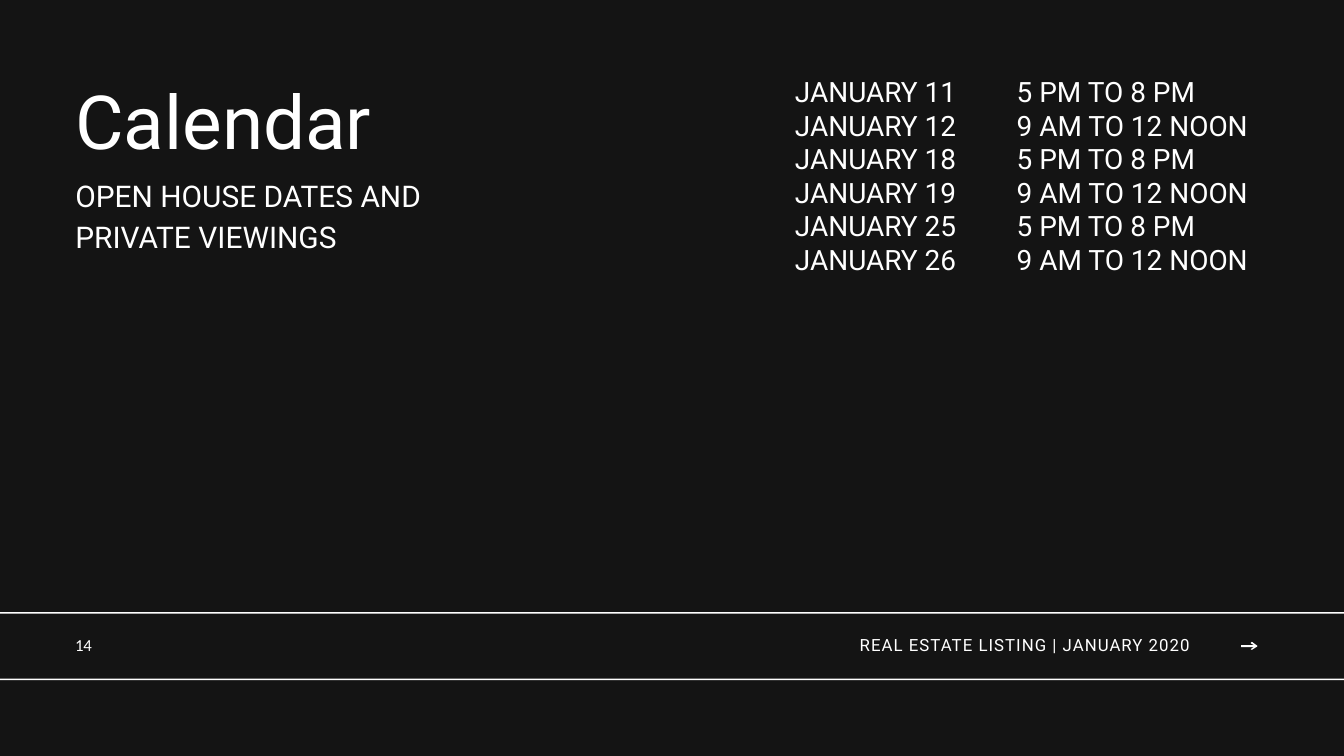
"""Build the open house calendar slide."""
from pptx import Presentation
from pptx.dml.color import RGBColor
from pptx.enum.shapes import MSO_SHAPE as SHAPE
from pptx.enum.text import PP_ALIGN as ALIGN
from pptx.util import Inches, Pt

COLORS = {"background": "141414", "white": "FFFFFF"}
VIEWINGS = [
    ("JANUARY 11", "5 PM TO 8 PM"),
    ("JANUARY 12", "9 AM TO 12 NOON"),
    ("JANUARY 18", "5 PM TO 8 PM"),
    ("JANUARY 19", "9 AM TO 12 NOON"),
    ("JANUARY 25", "5 PM TO 8 PM"),
    ("JANUARY 26", "9 AM TO 12 NOON"),
]
DATES, HOURS = zip(*VIEWINGS)
TITLE = ["Calendar"]
SUBTITLE = ["OPEN HOUSE DATES AND", "PRIVATE VIEWINGS"]
FOOTER = ["REAL ESTATE LISTING | JANUARY 2020"]
PAGE = ["14"]

WIDTH, HEIGHT = 20, 11.25
MARGIN = 1.12
SCHEDULE_TOP, SCHEDULE_W, SCHEDULE_H = 1.11, 3.74, 2.98
FOOTER_TOP, FOOTER_H = 9.53, 0.23
RULE_TOPS, RULE_H = (9.11, 10.1), 0.02

TEXTS = [
    (TITLE, (MARGIN, 1.12, 8.11, 1.33), 80, 96, {}),
    (SUBTITLE, (MARGIN, 2.55, 6.28, 1.19), 32, 44.8, {}),
    (DATES, (10.49, SCHEDULE_TOP, SCHEDULE_W, SCHEDULE_H), 30, 36, {"align": ALIGN.RIGHT}),
    (HOURS, (15.13, SCHEDULE_TOP, SCHEDULE_W, SCHEDULE_H), 30, 36, {}),
    (FOOTER, (9.23, FOOTER_TOP, 8.48, FOOTER_H), 18, 15.5,
     {"align": ALIGN.RIGHT, "tracking": 110}),
    (PAGE, (MARGIN, FOOTER_TOP, 0.66, FOOTER_H), 18, 15.7,
     {"font": "Calibri", "tracking": -40}),
]
ARROW = [
    (18.71, 9.61), (18.63, 9.55), (18.61, 9.57), (18.66, 9.6), (18.47, 9.6),
    (18.47, 9.63), (18.66, 9.63), (18.61, 9.66), (18.63, 9.67), (18.71, 9.62),
]


def color(name):
    return RGBColor.from_string(COLORS[name])


def paint(sp):
    sp.shadow.inherit = False
    sp.fill.solid()
    sp.fill.fore_color.rgb = color("white")
    sp.line.fill.background()


def add_text(slide, lines, box, size, spacing, align=ALIGN.LEFT, font="Roboto", tracking=None):
    tf = slide.shapes.add_textbox(*map(Inches, box)).text_frame
    tf.word_wrap = True
    tf.margin_left = tf.margin_top = tf.margin_right = tf.margin_bottom = 0
    tf.text = "\n".join(lines)
    for p in tf.paragraphs:
        p.alignment = align
        p.line_spacing = Pt(spacing)
        for r in p.runs:
            r.font.size = Pt(size)
            r.font.name = font
            r.font.color.rgb = color("white")
            if tracking is not None:
                r.font._element.set("spc", str(tracking))


def add_arrow(slide):
    points = [(Inches(x), Inches(y)) for x, y in ARROW]
    builder = slide.shapes.build_freeform(*points[0])
    builder.add_line_segments(points[1:], close=True)
    paint(builder.convert_to_shape())


def main():
    prs = Presentation()
    prs.slide_width, prs.slide_height = Inches(WIDTH), Inches(HEIGHT)
    slide = prs.slides.add_slide(prs.slide_layouts[6])
    slide.background.fill.solid()
    slide.background.fill.fore_color.rgb = color("background")
    for lines, box, size, spacing, style in TEXTS:
        add_text(slide, lines, box, size, spacing, **style)
    for top in RULE_TOPS:
        box = (0, top, WIDTH, RULE_H)
        paint(slide.shapes.add_shape(SHAPE.RECTANGLE, *map(Inches, box)))
    add_arrow(slide)
    prs.save("out.pptx")


if __name__ == "__main__":
    main()
